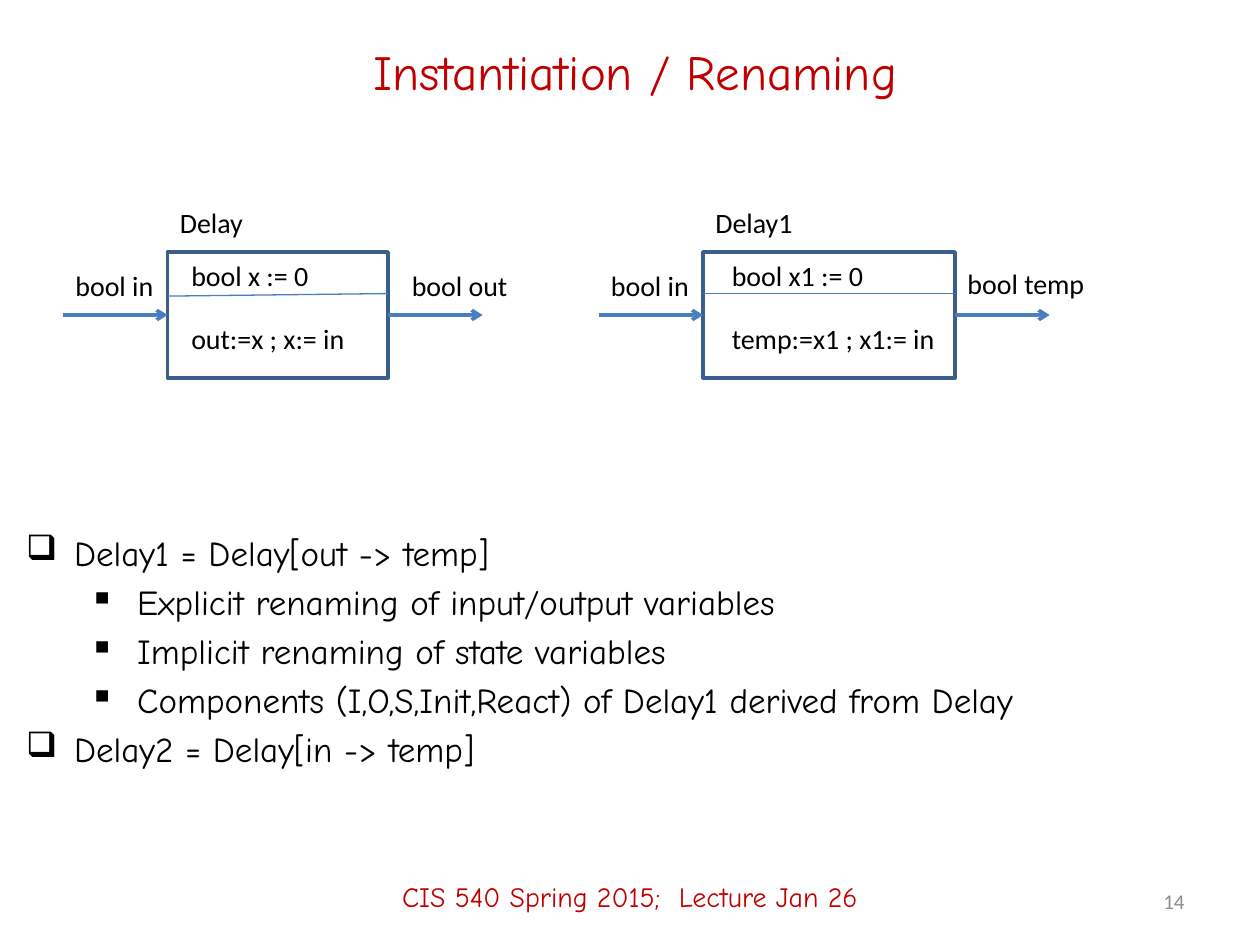
from lxml import etree
from pptx import Presentation
from pptx.dml.color import RGBColor
from pptx.enum.shapes import MSO_CONNECTOR as Connector, MSO_SHAPE as Shape
from pptx.enum.text import MSO_ANCHOR as Anchor, MSO_AUTO_SIZE as AutoSize, PP_ALIGN as Align
from pptx.oxml.ns import qn
from pptx.util import Inches, Pt

HAND, PLAIN = "Comic Neue", "Calibri"
RED, BLACK, GRAY = "C00000", "000000", "8C8C8C"
EDGE, WIRE = "3A5F8C", "4B7EBC"


def color(value):
    return RGBColor.from_string(value)


def add_span(para, text, font, size, ink):
    span = para.add_run()
    span.text = text
    span.font.name = font
    span.font.size = Pt(size)
    span.font.color.rgb = color(ink)


def add_text(page, area, text, font, size, ink, align=Align.LEFT, anchor=Anchor.MIDDLE):
    box = page.shapes.add_textbox(*map(Inches, area))
    frame = box.text_frame
    frame.word_wrap = True
    frame.vertical_anchor = anchor
    para = frame.paragraphs[0]
    para.alignment = align
    add_span(para, text, font, size, ink)
    return frame


def add_label(page, left, top, text, width):
    frame = add_text(page, (left, top, width, 0.37), text, PLAIN, 16, BLACK, anchor=Anchor.TOP)
    frame.word_wrap = False
    frame.auto_size = AutoSize.SHAPE_TO_FIT_TEXT


def add_line(page, start, end, weight, arrow=False):
    line = page.shapes.add_connector(Connector.STRAIGHT, *map(Inches, start + end))
    line.line.color.rgb = color(WIRE)
    line.line.width = Pt(weight)
    if arrow:
        etree.SubElement(line.line._get_or_add_ln(), qn("a:tailEnd"), type="arrow")
    etree.SubElement(line._element.spPr, qn("a:effectLst"))


def add_title(page, area, text):
    title = page.shapes.title
    title.left, title.top, title.width, title.height = map(Inches, area)
    title.text_frame.vertical_anchor = Anchor.MIDDLE
    para = title.text_frame.paragraphs[0]
    para.alignment = Align.CENTER
    add_span(para, text, HAND, 28, RED)


def add_component(page, area, name, state, update, output, indent, divider_start, output_at):
    """Name, state, update and output are each a text and the width it needs."""
    left, top, width, height = area
    right, middle = left + width, top + height / 2

    # Block and the line under its state variable
    block = page.shapes.add_shape(Shape.RECTANGLE, *map(Inches, area))
    block.shadow.inherit = False
    block.fill.background()
    block.line.color.rgb = color(EDGE)
    block.line.width = Pt(2)
    add_line(page, (left, top + divider_start), (right, top + 0.33), 0.75)

    # Input and output arrows
    add_line(page, (left - 0.83, middle), (left, middle), 2, arrow=True)
    add_line(page, (right, middle), (right + 0.75, middle), 2, arrow=True)

    # Labels
    add_label(page, left, top - 0.42, *name)
    add_label(page, left - 0.83, top + 0.08, "bool in", 0.85)
    add_label(page, left + indent, top, *state)
    add_label(page, left + indent, middle, *update)
    add_label(page, *output_at, *output)


def add_bullets(page, area, items):
    box = page.shapes.add_textbox(*map(Inches, area))
    frame = box.text_frame
    frame.word_wrap = True
    for index, (level, text) in enumerate(items):
        para = frame.add_paragraph() if index else frame.paragraphs[0]
        para.level = level
        props = para._p.get_or_add_pPr()
        props.set("marL", str(Inches(0.38 + 0.5 * level)))
        props.set("indent", str(Inches(-0.38)))
        if index:
            space = etree.SubElement(props, qn("a:spcBef"))
            etree.SubElement(space, qn("a:spcPct"), val="20000")
        etree.SubElement(props, qn("a:buChar"), char="❑▪"[level])
        add_span(para, text, HAND, 20, BLACK)


def add_footer(page, area, text, number):
    add_text(page, area, text, HAND, 16, RED, Align.CENTER)
    add_text(page, (7.17, 6.95, 2.33, 0.4), number, PLAIN, 12, GRAY, Align.RIGHT)


def main():
    deck = Presentation()
    deck.slide_width, deck.slide_height = Inches(10), Inches(7.5)
    page = deck.slides.add_slide(deck.slide_layouts[5])

    add_title(page, (0.75, 0.17, 8.58, 0.78), "Instantiation / Renaming")
    add_bullets(page, (0.11, 4.17, 9.67, 2.08), [
        (0, "Delay1 = Delay[out -> temp]"),
        (1, "Explicit renaming of input/output variables"),
        (1, "Implicit renaming of state variables"),
        (1, "Components (I,O,S,Init,React) of Delay1 derived from Delay"),
        (0, "Delay2 = Delay[in -> temp]"),
    ])
    add_component(page, (1.33, 2, 1.75, 1), ("Delay", 0.75), ("bool x := 0", 1.2),
                  ("out:=x ; x:= in", 1.5), ("bool out", 1), 0.09, 0.35, (3.17, 2.08))
    add_component(page, (5.58, 2, 2, 1), ("Delay1", 0.9), ("bool x1 := 0", 1.35),
                  ("temp:=x1 ; x1:= in", 1.95), ("bool temp", 1.25), 0.13, 0.33, (7.58, 2.07))
    add_footer(page, (0, 6.72, 10, 0.78), "CIS 540 Spring 2015;  Lecture Jan 26", "14")

    deck.save("out.pptx")


if __name__ == "__main__":
    main()
